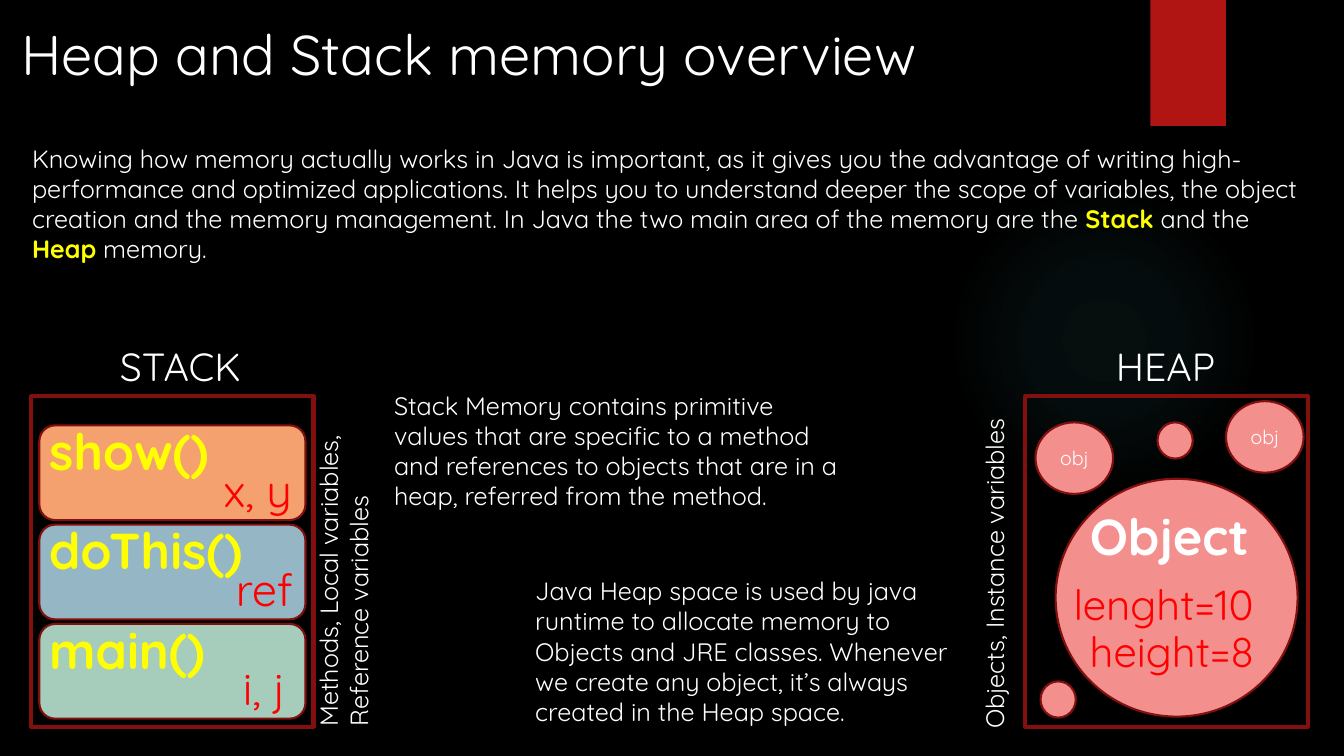
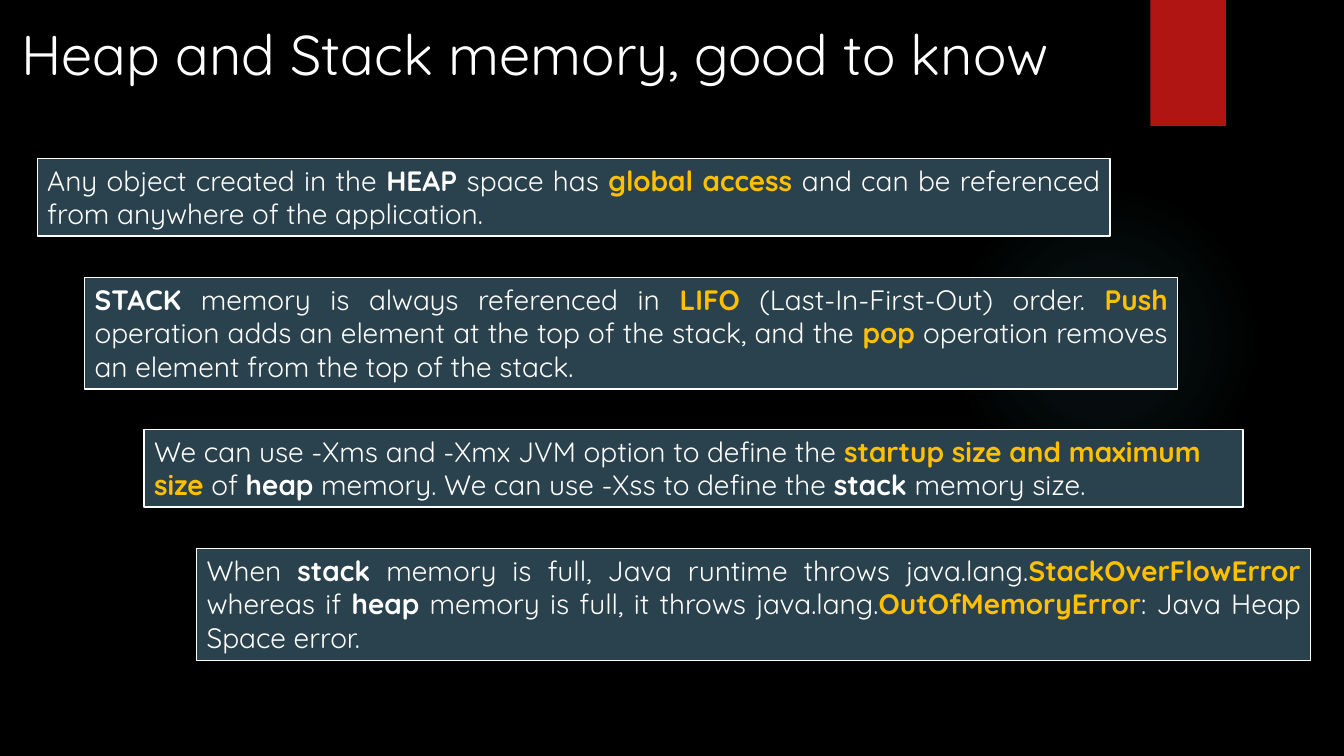
from lxml import etree
from pptx import Presentation
from pptx.dml.color import RGBColor
from pptx.enum import shapes, text
from pptx.oxml import parse_xml
from pptx.util import Inches, Pt

FONT = "Quicksand"
BLACK, WHITE, YELLOW, AMBER, RED = "000000", "FFFFFF", "FFFF00", "FFC000", "FF0000"
BAND, BORDER, GLOW, CARD, PINK = "B01513", "82100E", "50B9C1", "2A424D", "F38F8D"
SHAPE, ALIGN = shapes.MSO_SHAPE, text.PP_ALIGN
DRAWING = "http://schemas.openxmlformats.org/drawingml/2006/main"


def rgb(value):
    return RGBColor.from_string(value)


def write(tf, parts, size, color=WHITE, bold=False, align=ALIGN.LEFT):
    tf.word_wrap = True
    p = tf.paragraphs[0]
    p.alignment = align
    for part in [parts] if isinstance(parts, str) else parts:
        words, tint, heavy = (part, color, bold) if isinstance(part, str) else (*part, True)
        r = p.add_run()
        r.text = words
        r.font.name, r.font.size, r.font.bold = FONT, Pt(size), heavy
        r.font.color.rgb = rgb(tint)


def add_text(s, x, y, w, h, parts, size, color=WHITE, bold=False, rotation=0):
    sp = s.shapes.add_textbox(Inches(x), Inches(y), Inches(w), Inches(h))
    sp.rotation = rotation
    write(sp.text_frame, parts, size, color, bold)
    sp.text_frame.auto_size = text.MSO_AUTO_SIZE.SHAPE_TO_FIT_TEXT


def add_box(s, kind, x, y, w, h, fill=None, line=None, width=1.5):
    sp = s.shapes.add_shape(kind, Inches(x), Inches(y), Inches(w), Inches(h))
    sp.shadow.inherit = False
    if fill:
        sp.fill.solid()
        sp.fill.fore_color.rgb = rgb(fill)
    else:
        sp.fill.background()
    if line:
        sp.line.color.rgb = rgb(line)
        sp.line.width = Pt(width)
    else:
        sp.line.fill.background()
    return sp


def radial_fill(sp, color, stops):
    marks = "".join(
        f'<a:gs pos="{pos * 1000}"><a:srgbClr val="{color}">'
        f'<a:alpha val="{alpha * 1000}"/></a:srgbClr></a:gs>'
        for pos, alpha in stops)
    gradient = parse_xml(
        f'<a:gradFill xmlns:a="{DRAWING}"><a:gsLst>{marks}</a:gsLst><a:path path="circle">'
        '<a:fillToRect l="50000" t="50000" r="50000" b="50000"/></a:path></a:gradFill>')
    props = sp.element.spPr
    props.replace(props.find(etree.QName(DRAWING, "noFill")), gradient)


def decorate(layout, s):
    glow = add_box(s, SHAPE.OVAL, 9.41, 1.83, 3.08, 3.08)
    radial_fill(glow, GLOW, [(0, 7), (36, 6), (69, 0)])
    band = add_box(s, SHAPE.RECTANGLE, 11.41, 0, 0.75, 1.25, BAND)
    for index, sp in enumerate((glow, band), 2):
        layout.shapes.element.insert(index, sp.element)


def add_title(s, words, width):
    title = s.shapes.title
    title.left, title.top = Inches(0.11), Inches(0.09)
    title.width, title.height = Inches(width), Inches(0.88)
    write(title.text_frame, words, 40)
    title.text_frame.vertical_anchor = text.MSO_ANCHOR.MIDDLE


def memory_area(s, x, y, w, h, name, name_x):
    add_box(s, SHAPE.RECTANGLE, x, y, w, h, line=BORDER, width=3)
    add_text(s, x + name_x, y - 0.58, 1.51, 0.57, name, 28)


def stack_area(s, x, y, w, h):
    memory_area(s, x, y, w, h, "STACK", 0.78)
    frames = [("show()", "x, y", 1.81, "F4A16F"),
              ("doThis()", "ref", 1.93, "95B6C5"),
              ("main()", "i, j", 2.0, "A6CDBC")]
    for i, (method, variables, offset, fill) in enumerate(frames):
        left, top = x + 0.08, y + 0.29 + i * 0.985
        add_box(s, SHAPE.ROUNDED_RECTANGLE, left, top, w - 0.16, 0.94, fill, BORDER)
        add_text(s, left, top - 0.1, 2.57, 0.71, method, 36, YELLOW, True)
        add_text(s, x + offset, top + 0.32, 0.95, 0.64, variables, 32, RED)
    add_text(s, x + 1.36, y + 1.28, 3.48, 0.71,
             "Methods, Local variables, Reference variables", 18, rotation=270)


def heap_area(s, x, y, w, h):
    memory_area(s, x, y, w, h, "HEAP", 0.8)
    objects = [(0.3, 0.82, 2.4, 2.36, ""), (0.1, 0.26, 0.77, 0.71, "obj"),
               (1.99, 0.05, 0.77, 0.71, "obj"), (1.31, 0.26, 0.35, 0.36, ""),
               (0.15, 2.83, 0.35, 0.36, "")]
    for dx, dy, ow, oh, label in objects:
        sp = add_box(s, SHAPE.FLOWCHART_CONNECTOR, x + dx, y + dy, ow, oh, PINK, BORDER)
        if label:
            write(sp.text_frame, label, 14, align=ALIGN.CENTER)
    add_text(s, x + 0.54, y + 1.03, 1.92, 0.71, "Object", 36, bold=True)
    add_text(s, x + 0.38, y + 1.76, 2.57, 0.61, "lenght=10", 30, RED)
    add_text(s, x + 0.54, y + 2.23, 2.1, 0.61, "height=8", 30, RED)
    add_text(s, x - 2.36, y + 1.15, 4.1, 0.4, "Objects, Instance variables", 18, rotation=270)


def overview_slide(s):
    add_title(s, "Heap and Stack memory overview", 10.44)
    add_text(s, 0.22, 1.37, 12.9, 1.31, [
        "Knowing how memory actually works in Java is important, as it gives you the advantage "
        "of writing high-performance and optimized applications. It helps you to understand "
        "deeper the scope of variables, the object creation and the memory management. In Java "
        "the two main area of the memory are the ",
        ("Stack", YELLOW), " and the ", ("Heap", YELLOW), " memory."], 18)
    stack_area(s, 0.31, 3.93, 2.8, 3.28)
    heap_area(s, 10.17, 3.93, 2.8, 3.28)
    add_text(s, 3.81, 3.82, 4.73, 1.31,
             "Stack Memory contains primitive values that are specific to a method and "
             "references to objects that are in a heap, referred from the method.", 18)
    add_text(s, 5.21, 5.66, 4.51, 1.62,
             "Java Heap space is used by java runtime to allocate memory to Objects and JRE "
             "classes. Whenever we create any object, it’s always created in the Heap space.", 18)


def fact_card(s, x, y, w, h, parts, align=ALIGN.JUSTIFY):
    sp = add_box(s, SHAPE.RECTANGLE, x, y, w, h, CARD, WHITE, 1)
    write(sp.text_frame, parts, 20, align=align)
    sp.text_frame.vertical_anchor = text.MSO_ANCHOR.TOP
    sp.text_frame.auto_size = text.MSO_AUTO_SIZE.SHAPE_TO_FIT_TEXT


def facts_slide(s):
    add_title(s, "Heap and Stack memory, good to know", 11.13)
    fact_card(s, 0.37, 1.57, 10.64, 0.77, [
        "Any object created in the ", ("HEAP", WHITE), " space has ", ("global access ", AMBER),
        "and can be referenced from anywhere of the application."])
    fact_card(s, 0.84, 2.75, 10.84, 1.11, [
        ("STACK", WHITE), " memory is always referenced in ", ("LIFO", AMBER),
        " (Last-In-First-Out) order. ", ("Push ", AMBER),
        "operation adds an element at the top of the stack, and the ", ("pop ", AMBER),
        "operation removes an element from the top of the stack."])
    fact_card(s, 1.43, 4.26, 10.9, 0.77, [
        "We can use -Xms and -Xmx JVM option to define the ",
        ("startup size and maximum size", AMBER), " of ", ("heap", WHITE),
        " memory. We can use -Xss to define the ", ("stack", WHITE), " memory size."], ALIGN.LEFT)
    fact_card(s, 1.95, 5.44, 11.05, 1.11, [
        "When ", ("stack", WHITE), " memory is full, Java runtime throws java.lang.",
        ("StackOverFlowError", AMBER), " whereas if ", ("heap", WHITE),
        " memory is full, it throws java.lang.", ("OutOfMemoryError", AMBER),
        ": Java Heap Space error."])


prs = Presentation()
prs.slide_width, prs.slide_height = Inches(13.33), Inches(7.5)
background = prs.slide_master.background.fill
background.solid()
background.fore_color.rgb = rgb(BLACK)
title_only = prs.slide_layouts[5]
overview = prs.slides.add_slide(title_only)
decorate(title_only, overview)
overview_slide(overview)
facts_slide(prs.slides.add_slide(title_only))
prs.save("out.pptx")
